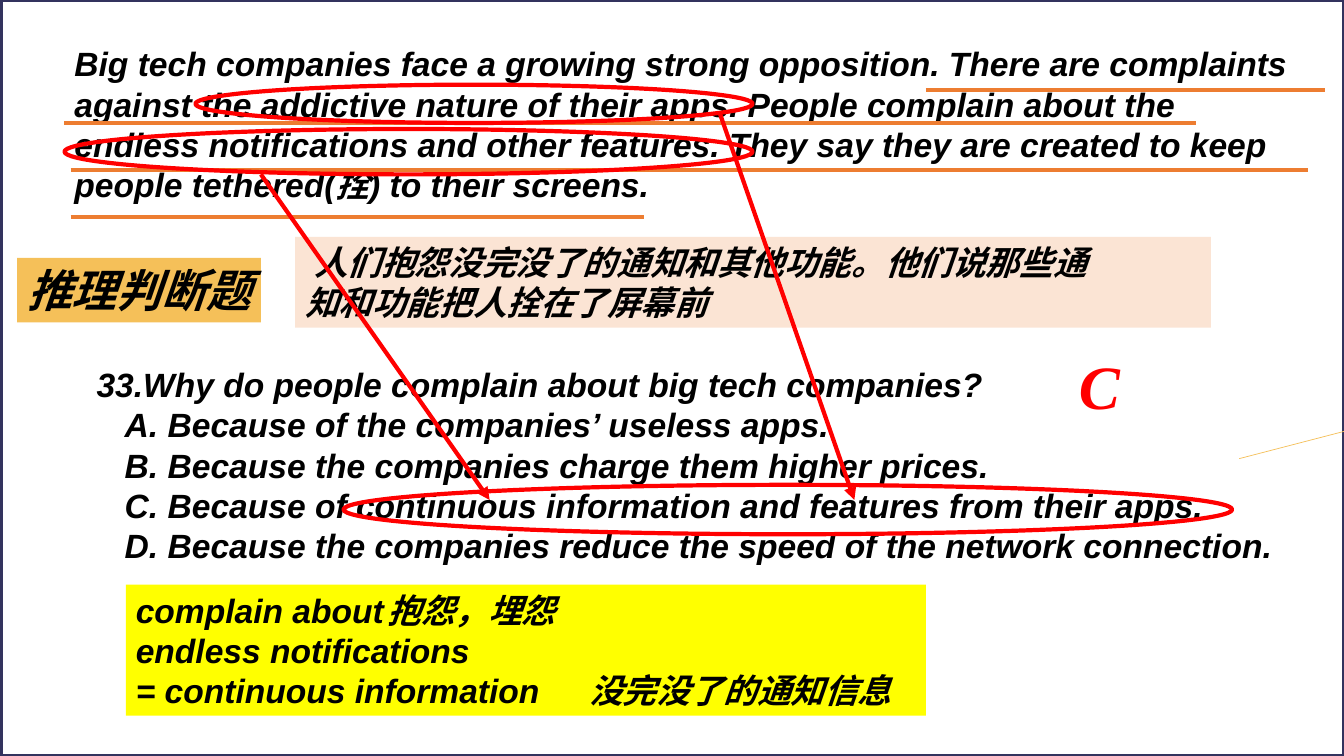
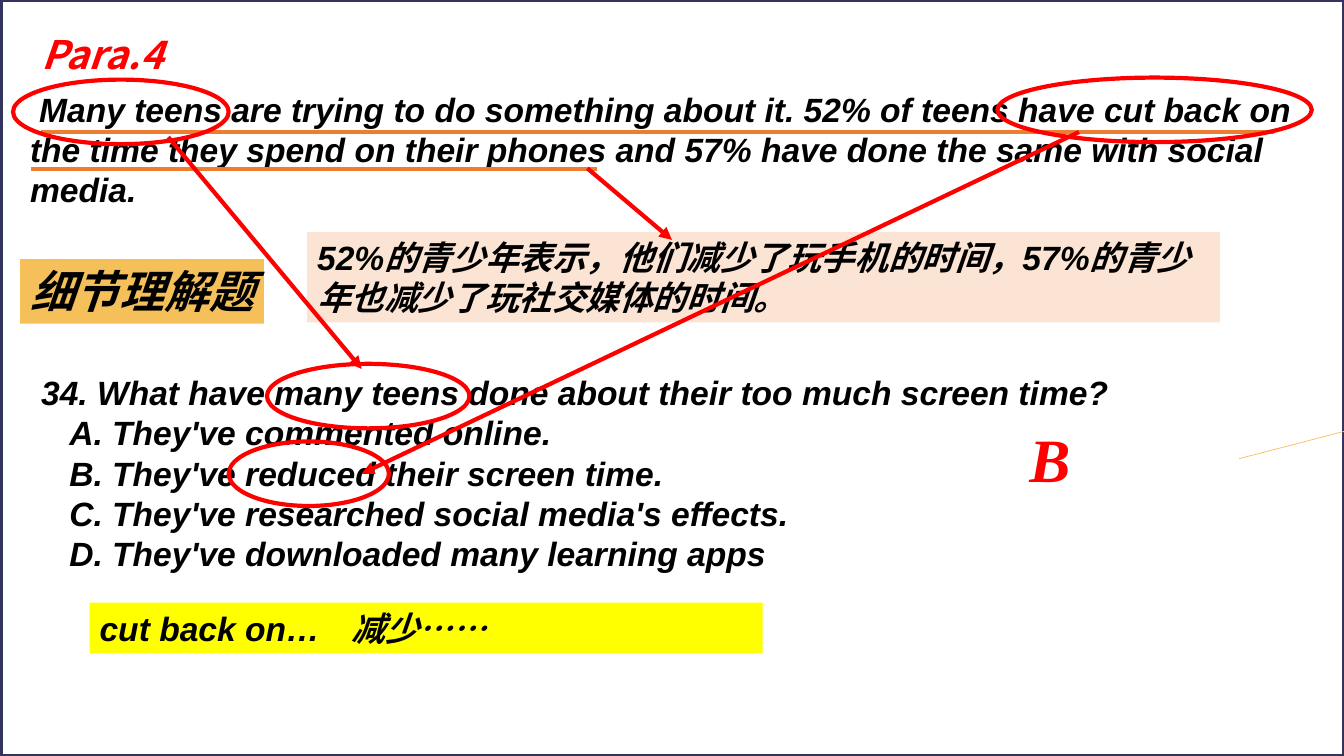
"""Build two reading-comprehension slides with marked evidence and answers."""
from dataclasses import dataclass
from typing import Optional

from lxml import etree
from pptx import Presentation
from pptx import util as u
from pptx.dml import color, line
from pptx.enum import shapes, text
from pptx.oxml import ns
from pptx.shapes import autoshape, connector
from pptx.slide import Slide

COLORS = {
    "frame": "33335E", "gold": "F5C059", "peach": "FBE4D4", "yellow": "FFFF00",
    "underline": "ED7D31", "red": "FF0000", "black": "000000",
}
CJK_FONT = "Noto Sans CJK SC"
LEADING = 1.2
OPTION_INDENT = 0.28
SPACE_INDENT = 0.09

Box = tuple[float, float, float, float]
Segment = tuple[float, float, float, float]


@dataclass(frozen=True)
class Style:
    size: int = 24
    font: str = "Arial"
    ink: str = "black"
    fill: Optional[str] = None
    wrap: bool = True


@dataclass(frozen=True)
class Para:
    words: str
    margin: float = 0
    first_line: float = 0
    tab: Optional[float] = None


@dataclass(frozen=True)
class Block:
    style: str
    box: Box
    paras: list[Para]


@dataclass(frozen=True)
class Exercise:
    blocks: list[Block]
    underlines: list[Segment]
    circles: list[Box]
    arrows: list[Segment]


STYLES = {
    "passage": Style(),
    "question": Style(),
    "translation": Style(fill="peach"),
    "vocabulary": Style(fill="yellow"),
    "question type": Style(size=32, font=CJK_FONT, fill="gold", wrap=False),
    "heading": Style(size=28, font=CJK_FONT, ink="red"),
    "answer": Style(size=44, font="Times New Roman", ink="red"),
}


def question(stem: str, *options: str) -> list[Para]:
    """Return the stem followed by its lettered, indented options."""
    lettered = zip("ABCD", options)
    return [Para(stem)] + [Para(f"{letter}. {option}", margin=OPTION_INDENT) for letter, option in lettered]


EXERCISES = [
    Exercise(
        blocks=[
            Block("question", (0.86, 3.56, 11.9, 2.1), question(
                "33.Why do people complain about big tech companies?",
                "Because of the companies’ useless apps.",
                "Because the companies charge them higher prices.",
                "Because of continuous information and features from their apps.",
                "Because the companies reduce the speed of the network connection.",
            )),
            Block("translation", (2.93, 2.35, 9.09, 0.9), [
                Para("人们抱怨没完没了的通知和其他功能。他们说那些通", first_line=SPACE_INDENT),
                Para("知和功能把人拴在了屏幕前"),
            ]),
            Block("question type", (0.17, 2.56, 2.42, 0.64), [Para("推理判断题")]),
            Block("passage", (0.64, 0.38, 12.34, 1.7), [Para(
                "Big tech companies face a growing strong opposition. There are complaints "
                "against the addictive nature of their apps. People complain about the "
                "endless notifications and other features. They say they are created to keep "
                "people tethered(拴) to their screens."
            )]),
            Block("vocabulary", (1.25, 5.8, 7.94, 1.3), [
                Para("complain about\t抱怨，埋怨", tab=2.74),
                Para("endless notifications"),
                Para("= continuous information\t没完没了的通知信息", tab=4.2),
            ]),
            Block("answer", (10.61, 3.4, 0.59, 1.57), [Para("C")]),
        ],
        underlines=[
            (0.64, 1.22, 11.87, 1.22), (9.19, 0.89, 13.15, 0.89),
            (0.7, 1.69, 12.98, 1.69), (0.7, 2.15, 6.39, 2.15),
        ],
        circles=[(1.94, 0.84, 5.53, 0.38), (0.64, 1.28, 6.83, 0.45), (3.41, 4.81, 8.82, 0.49)],
        arrows=[(2.59, 1.73, 4.86, 4.96), (7.14, 1.11, 8.48, 4.96)],
    ),
    Exercise(
        blocks=[
            Block("question", (0.31, 3.64, 12.49, 2.1), question(
                "34. What have many teens done about their too much screen time?",
                "They've commented online.",
                "They've reduced their screen time.",
                "They've researched social media's effects.",
                "They've downloaded many learning apps",
            )),
            Block("translation", (3.05, 2.3, 9.06, 0.9), [
                Para("52%的青少年表示，他们减少了玩手机的时间，57%的青少年也减少了玩社交媒体的时间。"),
            ]),
            Block("passage", (0.2, 0.83, 12.96, 1.3), [Para(
                "Many teens are trying to do something about it. 52% of teens have cut back on "
                "the time they spend on their phones and 57% have done the same with social media.",
                first_line=SPACE_INDENT,
            )]),
            Block("question type", (0.2, 2.57, 2.42, 0.64), [Para("细节理解题")]),
            Block("heading", (0.31, 0.25, 1.45, 0.57), [Para("Para.4")]),
            Block("answer", (10.12, 4.13, 0.59, 1.57), [Para("B")]),
            Block("vocabulary", (0.89, 5.98, 6.68, 0.5), [Para("cut back on…\t减少……", tab=2.46)]),
        ],
        underlines=[(0.41, 1.31, 12.65, 1.31), (0.31, 1.68, 5.93, 1.68)],
        circles=[
            (9.9, 0.77, 3.12, 0.64), (2.27, 4.38, 1.59, 0.64),
            (0.13, 0.79, 2.14, 0.64), (2.65, 3.61, 2.01, 0.64),
        ],
        arrows=[(5.83, 1.67, 6.67, 2.38), (10.71, 1.31, 3.59, 4.7), (1.67, 1.36, 3.59, 3.66)],
    ),
]


def rgb(name: str) -> color.RGBColor:
    """Return the named colour."""
    return color.RGBColor.from_string(COLORS[name])


def inches(values: tuple[float, ...]) -> list[u.Length]:
    """Convert numbers to lengths."""
    return [u.Inches(value) for value in values]


def apply(target: object, formats: dict[str, object]) -> None:
    """Set each attribute of the target from a dict."""
    for attribute, value in formats.items():
        setattr(target, attribute, value)


def paint_line(outline: line.LineFormat, ink: str, width: float) -> None:
    """Colour a line and set its width in points."""
    outline.color.rgb = rgb(ink)
    outline.width = u.Pt(width)


def add_outline(slide: Slide, kind: shapes.MSO_SHAPE, box: Box, ink: str) -> autoshape.Shape:
    """Draw an unfilled preset shape."""
    outline = slide.shapes.add_shape(kind, *inches(box))
    outline.shadow.inherit = False
    outline.fill.background()
    paint_line(outline.line, ink, 3)
    return outline


def add_line(slide: Slide, ends: Segment, ink: str, width: float = 3) -> connector.Connector:
    """Draw a straight line without a shadow."""
    stroke = slide.shapes.add_connector(shapes.MSO_CONNECTOR.STRAIGHT, *inches(ends))
    paint_line(stroke.line, ink, width)
    etree.SubElement(stroke.element.spPr, ns.qn("a:effectLst"))
    return stroke


def add_arrow(slide: Slide, ends: Segment) -> None:
    """Draw a red line that ends in a triangle."""
    arrow = add_line(slide, ends, "red")
    etree.SubElement(arrow.element.spPr.find(ns.qn("a:ln")), ns.qn("a:tailEnd"), type="triangle")


def add_block(slide: Slide, block: Block) -> None:
    """Draw a text block in its named style."""
    style = STYLES[block.style]
    holder = slide.shapes.add_textbox(*inches(block.box))
    if style.fill:
        holder.fill.solid()
        holder.fill.fore_color.rgb = rgb(style.fill)
    frame = holder.text_frame
    apply(frame, {
        "word_wrap": style.wrap, "auto_size": text.MSO_AUTO_SIZE.NONE,
        "vertical_anchor": text.MSO_ANCHOR.TOP,
    })
    for index, para in enumerate(block.paras):
        paragraph = frame.add_paragraph() if index else frame.paragraphs[0]
        properties = paragraph._p.get_or_add_pPr()
        properties.set("marL", str(u.Inches(para.margin)))
        properties.set("indent", str(u.Inches(para.first_line)))
        if para.tab:
            stops = etree.SubElement(properties, ns.qn("a:tabLst"))
            etree.SubElement(stops, ns.qn("a:tab"), pos=str(u.Inches(para.tab)), algn="l")
        apply(paragraph, {
            "alignment": text.PP_ALIGN.LEFT, "line_spacing": u.Pt(style.size * LEADING),
        })
        run = paragraph.add_run()
        run.text = para.words
        apply(run.font, {"name": style.font, "size": u.Pt(style.size), "bold": True, "italic": True})
        run.font.color.rgb = rgb(style.ink)
        etree.SubElement(run._r.get_or_add_rPr(), ns.qn("a:ea"), typeface=CJK_FONT)


def add_exercise(slide: Slide, exercise: Exercise) -> None:
    """Draw the shared frame, then the exercise and its markings."""
    add_outline(slide, shapes.MSO_SHAPE.RECTANGLE, (0.01, 0, 13.33, 7.5), "frame")
    add_line(slide, (12.3, 4.55, 13.34, 4.28), "gold", 0.5)
    for block in exercise.blocks:
        add_block(slide, block)
    for ends in exercise.underlines:
        add_line(slide, ends, "underline")
    for box in exercise.circles:
        add_outline(slide, shapes.MSO_SHAPE.OVAL, box, "red")
    for ends in exercise.arrows:
        add_arrow(slide, ends)


def main() -> None:
    """Build and save the presentation."""
    deck = Presentation()
    apply(deck, {"slide_width": u.Inches(13.34), "slide_height": u.Inches(7.5)})
    for exercise in EXERCISES:
        add_exercise(deck.slides.add_slide(deck.slide_layouts[6]), exercise)
    deck.save("out.pptx")


if __name__ == "__main__":
    main()
